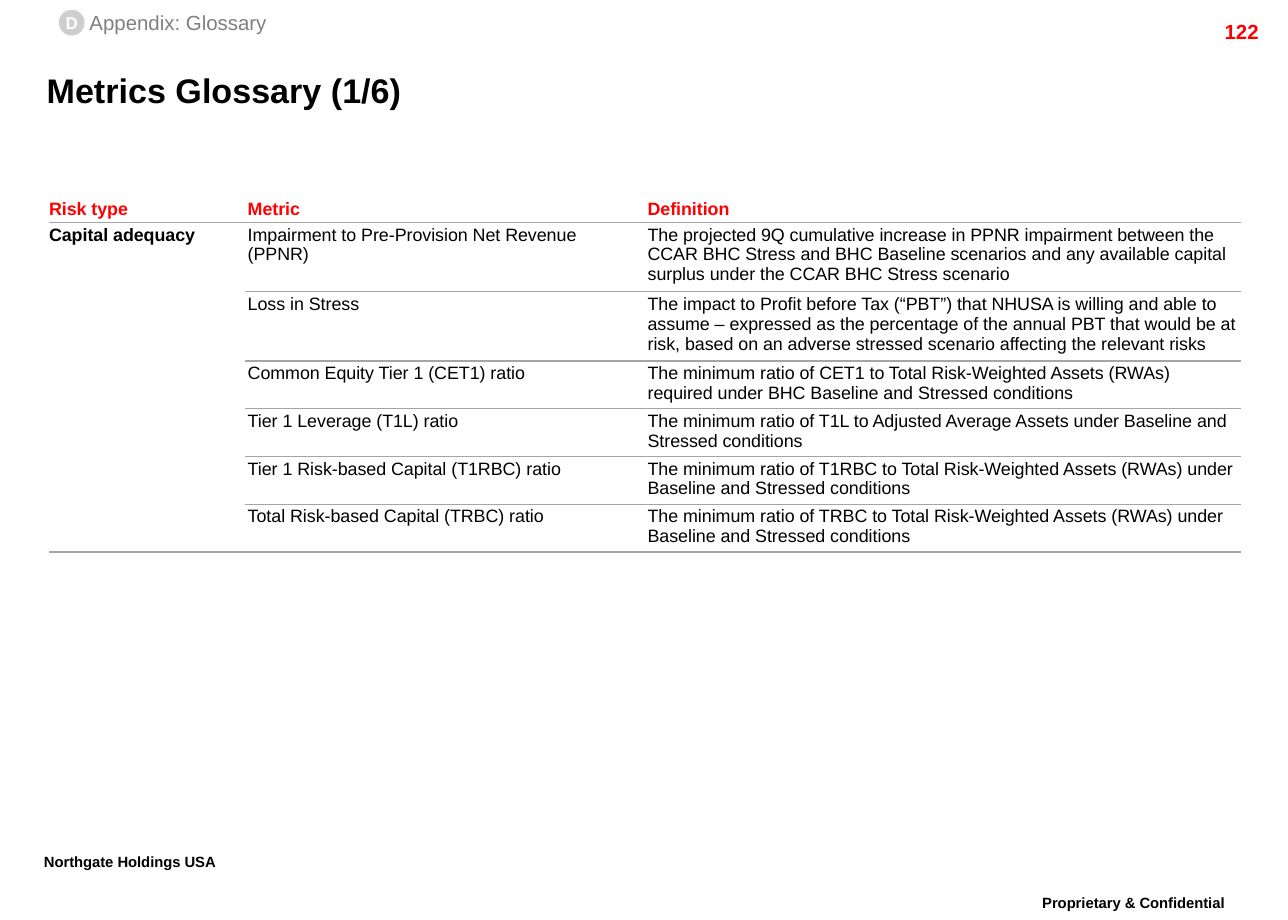
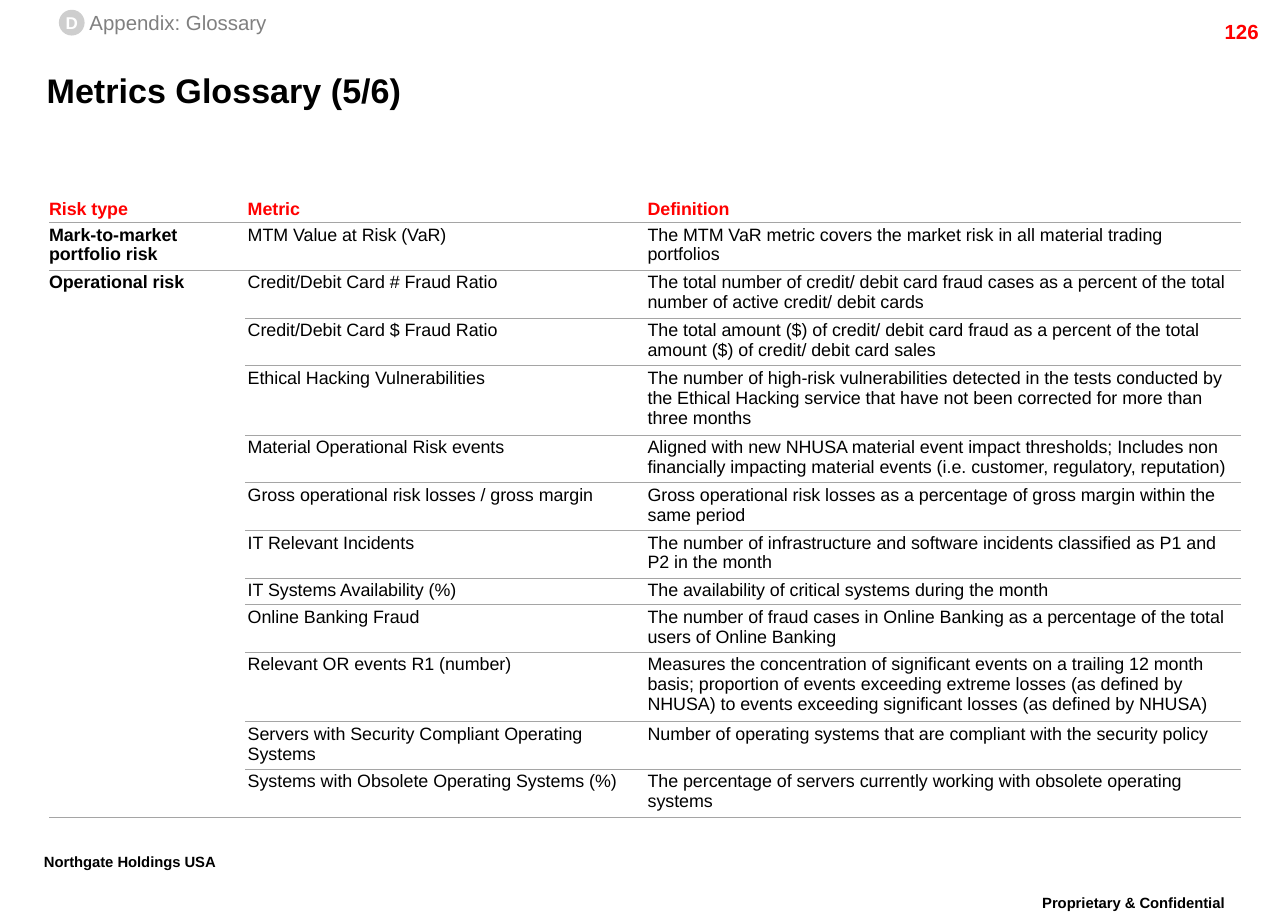
from lxml.etree import SubElement
from pptx import Presentation
from pptx.dml.color import RGBColor
from pptx.enum.shapes import MSO_SHAPE as Shape
from pptx.enum.text import MSO_ANCHOR as Anchor, PP_ALIGN as Align
from pptx.oxml.ns import qn
from pptx.util import Inches, Pt

COLORS = {"text": "000000", "accent": "FF0000", "rule": "A5A5A5",
          "badge": "CECECE", "section": "808080", "badge_text": "FFFFFF"}
FONT = "Arial"
SLIDE_SIZE = (10.5, 7.5)
TABLE_LEFT, TABLE_TOP = 0.4, 1.6
COLUMNS = (1.6, 3.26, 4.86)
HEADINGS = ("Risk type", "Metric", "Definition")
LINE_HEIGHT, ROW_PADDING, CELL_INSET = 0.17, 0.04, 0.02
NO_STYLE_NO_GRID = "{2D5ABB26-0587-4C30-8999-92F81FD0307C}"

# Each page: number, title, and risk types with (metric, definition, lines) rows
PAGES = [
    ("122", "Metrics Glossary (1/6)", [
        ("Capital adequacy", [
            ("Impairment to Pre-Provision Net Revenue (PPNR)",
             "The projected 9Q cumulative increase in PPNR impairment between the CCAR BHC Stress "
             "and BHC Baseline scenarios and any available capital surplus under the CCAR BHC "
             "Stress scenario", 3),
            ("Loss in Stress",
             "The impact to Profit before Tax (“PBT”) that NHUSA is willing and able to assume – "
             "expressed as the percentage of the annual PBT that would be at risk, based on an "
             "adverse stressed scenario affecting the relevant risks", 3),
            ("Common Equity Tier 1 (CET1) ratio",
             "The minimum ratio of CET1 to Total Risk-Weighted Assets (RWAs) required under BHC "
             "Baseline and Stressed conditions", 2),
            ("Tier 1 Leverage (T1L) ratio",
             "The minimum ratio of T1L to Adjusted Average Assets under Baseline and Stressed "
             "conditions", 2),
            ("Tier 1 Risk-based Capital (T1RBC) ratio",
             "The minimum ratio of T1RBC to Total Risk-Weighted Assets (RWAs) under Baseline and "
             "Stressed conditions", 2),
            ("Total Risk-based Capital (TRBC) ratio",
             "The minimum ratio of TRBC to Total Risk-Weighted Assets (RWAs) under Baseline and "
             "Stressed conditions", 2),
        ]),
    ]),
    ("126", "Metrics Glossary (5/6)", [
        ("Mark-to-market portfolio risk", [
            ("MTM Value at Risk (VaR)",
             "The MTM VaR metric covers the market risk in all material trading portfolios", 2),
        ]),
        ("Operational risk", [
            ("Credit/Debit Card # Fraud Ratio",
             "The total number of credit/ debit card fraud cases as a percent of the total number "
             "of active credit/ debit cards", 2),
            ("Credit/Debit Card $ Fraud Ratio",
             "The total amount ($) of credit/ debit card fraud as a percent of the total amount "
             "($) of credit/ debit card sales", 2),
            ("Ethical Hacking Vulnerabilities",
             "The number of high-risk vulnerabilities detected in the tests conducted by the "
             "Ethical Hacking service that have not been corrected for more than three months", 3),
            ("Material Operational Risk events",
             "Aligned with new NHUSA material event impact thresholds; Includes non financially "
             "impacting material events (i.e. customer, regulatory, reputation)", 2),
            ("Gross operational risk losses / gross margin",
             "Gross operational risk losses as a percentage of gross margin within the same "
             "period", 2),
            ("IT Relevant Incidents",
             "The number of infrastructure and software incidents classified as P1 and P2 in the "
             "month", 2),
            ("IT Systems Availability (%)",
             "The availability of critical systems during the month", 1),
            ("Online Banking Fraud",
             "The number of fraud cases in Online Banking as a percentage of the total users of "
             "Online Banking", 2),
            ("Relevant OR events R1 (number)",
             "Measures the concentration of significant events on a trailing 12 month basis; "
             "proportion of events exceeding extreme losses (as defined by NHUSA) to events "
             "exceeding significant losses (as defined by NHUSA)", 3),
            ("Servers with Security Compliant Operating Systems",
             "Number of operating systems that are compliant with the security policy", 2),
            ("Systems with Obsolete Operating Systems (%)",
             "The percentage of servers currently working with obsolete operating systems", 2),
        ]),
    ]),
]


def write(frame, text, size, color="text", bold=False, align=Align.LEFT, spacing=None):
    """Fill a text frame with one formatted paragraph and return it."""
    frame.text = text
    paragraph = frame.paragraphs[0]
    paragraph.alignment = align
    if spacing:
        paragraph.line_spacing = spacing
    font = paragraph.font
    font.name, font.size, font.bold = FONT, Pt(size), bold
    font.color.rgb = RGBColor.from_string(COLORS[color])
    return paragraph


def set_insets(area, left=0, top=0, right=0, bottom=0):
    area.margin_left, area.margin_top = Inches(left), Inches(top)
    area.margin_right, area.margin_bottom = Inches(right), Inches(bottom)


def add_label(shapes, box, text, size, wrap=True, **style):
    label = shapes.add_textbox(*map(Inches, box)).text_frame
    label.word_wrap = wrap
    return label, write(label, text, size, **style)


def add_section_tag(slide):
    tag = slide.shapes.add_group_shape().shapes
    badge = tag.add_shape(Shape.OVAL, *map(Inches, (0.48, 0.08, 0.21, 0.21)))
    badge.shadow.inherit = False
    badge.fill.solid()
    badge.fill.fore_color.rgb = RGBColor.from_string(COLORS["badge"])
    badge.line.fill.background()
    letter = badge.text_frame
    letter.word_wrap, letter.vertical_anchor = False, Anchor.MIDDLE
    set_insets(letter)
    write(letter, "D", 10, "badge_text", True, Align.CENTER)
    section, _ = add_label(tag, (0.73, 0.08, 1.46, 0.2), "Appendix: Glossary", 12,
                           wrap=False, color="section")
    section.vertical_anchor = Anchor.MIDDLE
    set_insets(section)


def add_frame(slide, number, title):
    """Place the title, section tag, page number and footers."""
    heading = slide.shapes.title
    heading.left, heading.top, heading.width, heading.height = map(
        Inches, (0.38, 0.49, 9.48, 0.48))
    heading.text_frame.vertical_anchor = Anchor.MIDDLE
    set_insets(heading.text_frame)
    write(heading.text_frame, title, 20, bold=True)
    add_section_tag(slide)
    add_label(slide.shapes, (9.36, 0.11, 1, 0.24), number, 12,
              color="accent", bold=True, align=Align.RIGHT)
    footers = [((0.26, 6.91, 1.91, 0.35), "Northgate Holdings USA", False, Align.LEFT),
               ((8.15, 7.25, 2.18, 0.35), "Proprietary & Confidential", True, Align.CENTER)]
    for box, text, wrap, align in footers:
        _, footer = add_label(slide.shapes, box, text, 15, wrap=wrap, bold=True,
                              align=align, spacing=0.86)
        footer.runs[0]._r.get_or_add_rPr().set("baseline", "30000")


def underline(cell):
    """Draw the grey rule below a cell."""
    rule = SubElement(cell._tc.get_or_add_tcPr(), qn("a:lnB"), w=str(Pt(0.75)))
    fill = SubElement(rule, qn("a:solidFill"))
    SubElement(fill, qn("a:srgbClr"), val=COLORS["rule"])


def fill_cell(cell, text, column, **style):
    set_insets(cell, CELL_INSET if column else 0, CELL_INSET, CELL_INSET, CELL_INSET)
    write(cell.text_frame, text, 10.5, **style)
    underline(cell)
    cell.fill.background()


def add_glossary(slide, risk_types):
    line_counts = [1] + [lines for _, metrics in risk_types for _, _, lines in metrics]
    heights = [ROW_PADDING + LINE_HEIGHT * lines for lines in line_counts]
    frame = slide.shapes.add_table(
        len(heights), len(COLUMNS), Inches(TABLE_LEFT), Inches(TABLE_TOP),
        Inches(sum(COLUMNS)), Inches(sum(heights)))
    table = frame.table
    table.horz_banding = False
    for style_id in frame.element.iter(qn("a:tableStyleId")):
        style_id.text = NO_STYLE_NO_GRID
    for column, width in zip(table.columns, COLUMNS):
        column.width = Inches(width)
    for row, height in zip(table.rows, heights):
        row.height = Inches(height)

    for column, heading in enumerate(HEADINGS):
        fill_cell(table.cell(0, column), heading, column, color="accent", bold=True)
        table.cell(0, column).vertical_anchor = Anchor.MIDDLE
    first = 1
    for risk_type, metrics in risk_types:
        last = first + len(metrics) - 1
        for row, (metric, definition, _) in enumerate(metrics, first):
            fill_cell(table.cell(row, 1), metric, 1)
            fill_cell(table.cell(row, 2), definition, 2)
            if row > first:
                fill_cell(table.cell(row, 0), "", 0)
        risk_cell = table.cell(first, 0)
        if last > first:
            risk_cell.merge(table.cell(last, 0))
        fill_cell(risk_cell, risk_type, 0, bold=True)
        first = last + 1


def main():
    deck = Presentation()
    deck.slide_width, deck.slide_height = map(Inches, SLIDE_SIZE)
    title_only = deck.slide_layouts[5]
    for number, title, risk_types in PAGES:
        slide = deck.slides.add_slide(title_only)
        add_frame(slide, number, title)
        add_glossary(slide, risk_types)
    deck.save("out.pptx")


if __name__ == "__main__":
    main()
